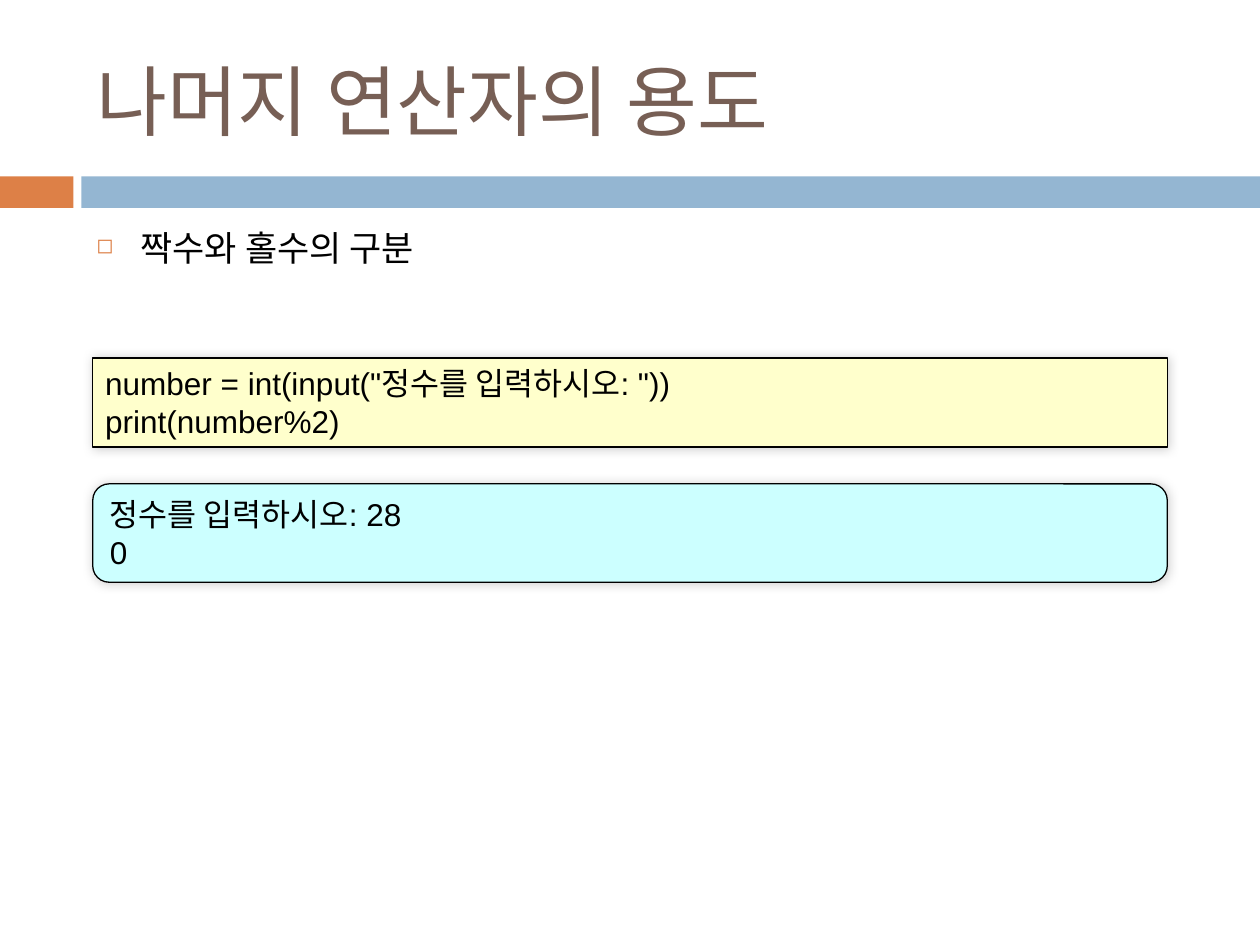
from lxml.etree import SubElement
from pptx import Presentation
from pptx.dml.color import RGBColor
from pptx.enum.shapes import MSO_SHAPE
from pptx.enum.text import MSO_ANCHOR, PP_ALIGN
from pptx.oxml import parse_xml
from pptx.oxml.ns import nsdecls, qn
from pptx.util import Pt


def color(code):
    return RGBColor.from_string(code)


def write(frame, lines, size, face, ink, anchor):
    """Fill a text frame, one paragraph a line, with Korean glyphs in Noto."""
    frame.word_wrap = True
    frame.vertical_anchor = anchor
    frame.text = "\n".join(lines)
    for para in frame.paragraphs:
        para.alignment = PP_ALIGN.LEFT
        para.font.size = Pt(size)
        para.font.name = face
        para.font.color.rgb = color(ink)
        east = SubElement(para._p.pPr.find(qn("a:defRPr")), qn("a:ea"))
        east.set("typeface", "Noto Sans CJK KR")


deck = Presentation()
deck.slide_width, deck.slide_height = Pt(720), Pt(540)
slide = deck.slides.add_slide(deck.slide_layouts[6])
shapes = slide.shapes

# Band under the title
for left, width, fill in [(0, 42, "DD8047"), (46.5, 673.5, "94B6D2")]:
    bar = shapes.add_shape(MSO_SHAPE.RECTANGLE, Pt(left), Pt(100.8), Pt(width), Pt(18))
    bar.shadow.inherit = False
    bar.fill.solid()
    bar.fill.fore_color.rgb = color(fill)
    bar.line.fill.background()

# Title and bullet
title = shapes.add_textbox(Pt(48), Pt(18), Pt(642), Pt(78))
write(title.text_frame, ["나머지 연산자의 용도"], 44, "Calibri", "775F55", MSO_ANCHOR.MIDDLE)

body = shapes.add_textbox(Pt(48), Pt(126), Pt(642), Pt(354))
write(body.text_frame, ["짝수와 홀수의 구분"], 20, "Noto Sans CJK KR", "000000", MSO_ANCHOR.TOP)
point = body.text_frame.paragraphs[0]
point.space_before = Pt(7)
props = point._p.pPr
props.set("marL", str(Pt(25.2)))
props.set("indent", str(-Pt(25.2)))
bullet = [
    f'<a:buClr {nsdecls("a")}><a:srgbClr val="DD8047"/></a:buClr>',
    f'<a:buSzPct {nsdecls("a")} val="60000"/>',
    f'<a:buChar {nsdecls("a")} char="◻"/>',
]
for mark in bullet:
    props.find(qn("a:defRPr")).addprevious(parse_xml(mark))

# Program and its output
code = ['number = int(input("정수를 입력하시오: "))', "print(number%2)"]
result = ["정수를 입력하시오: 28", "0"]
boxes = [
    (MSO_SHAPE.ROUNDED_RECTANGLE, 276.5, 56.2, "CCFFFF", result),
    (MSO_SHAPE.RECTANGLE, 204.5, 51, "FFFFCC", code),
]
for kind, top, height, fill, lines in boxes:
    box = shapes.add_shape(kind, Pt(53), Pt(top), Pt(614), Pt(height))
    box.fill.solid()
    box.fill.fore_color.rgb = color(fill)
    box.line.color.rgb = color("000000")
    box.line.width = Pt(0.75)
    box.shadow.inherit = False
    glow = parse_xml(
        f'<a:outerShdw {nsdecls("a")} blurRad="{Pt(6)}" dist="0" dir="18900000">'
        '<a:srgbClr val="000000"><a:alpha val="20000"/></a:srgbClr></a:outerShdw>'
    )
    box._element.spPr.find(qn("a:effectLst")).append(glow)
    write(box.text_frame, lines, 18, "Arial", "000000", MSO_ANCHOR.TOP)

deck.save("out.pptx")
